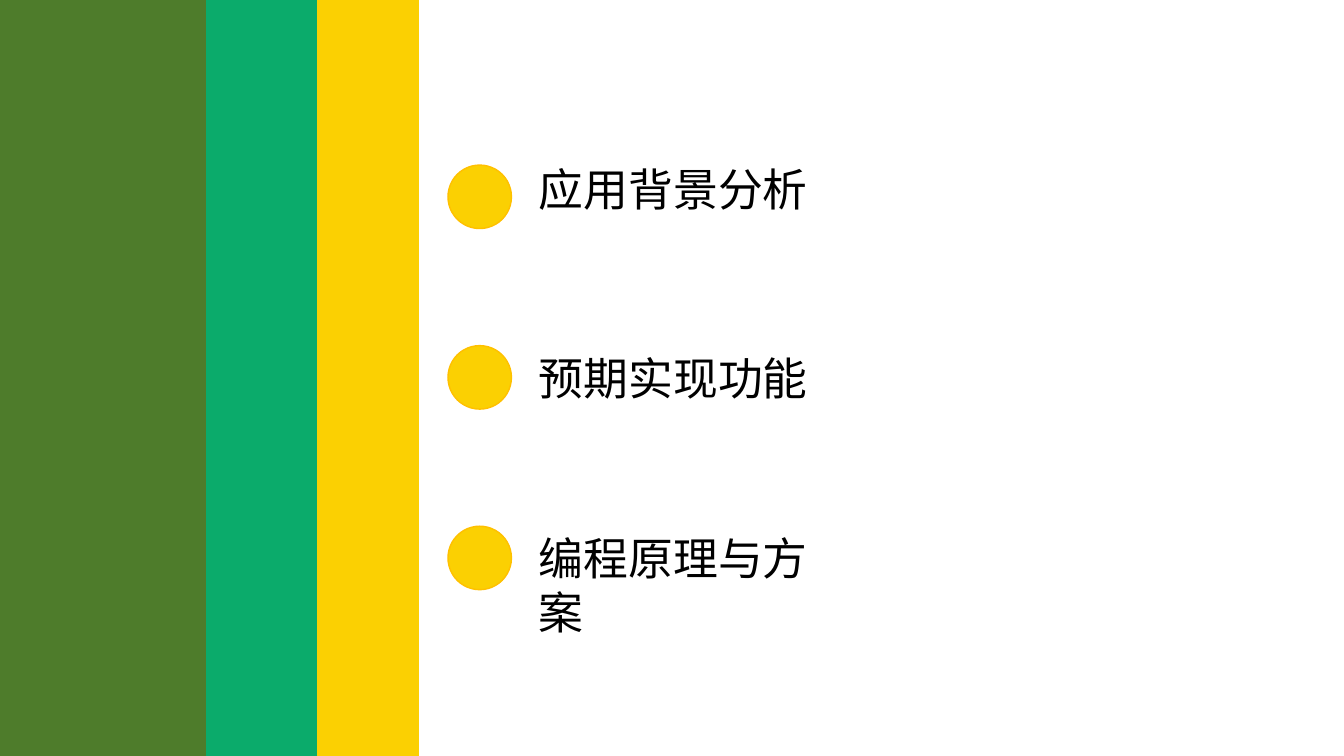
import pptx
import pptx.util
import pptx.dml.color
import pptx.enum.shapes
import pptx.enum.text
import pptx.oxml.ns
import lxml.etree

Cm = pptx.util.Cm
Pt = pptx.util.Pt
SHAPE = pptx.enum.shapes.MSO_SHAPE

COLORS = {
    "olive": "4E7C2B",
    "green": "0BAB6B",
    "yellow": "FBD002",
    "amber": "FFC000",
    "text": "000000",
}
FONT = "Noto Sans CJK JP"
SLIDE_W, SLIDE_H = 33.87, 19.05

# Colour, centre x, centre y, length and thickness, from back to front
STRIPES = [
    ("yellow", 8.37, 10.64, 30.91, 4.37),
    ("green", 5.69, 6.11, 31.19, 4.55),
    ("olive", 1.83, 6.08, 31.14, 6.68),
]

# Wording, label width and label offset from the top of its dot
TOPICS = [
    ("应用背景分析", 7.3, -0.2),
    ("预期实现功能", 7.3, 0),
    ("编程原理与方案", 8.38, 0),
]


def rgb(name):
    return pptx.dml.color.RGBColor.from_string(COLORS[name])


def add_filled(slide, kind, x, y, w, h, fill, line):
    sp = slide.shapes.add_shape(kind, Cm(x), Cm(y), Cm(w), Cm(h))
    sp.shadow.inherit = False
    sp.fill.solid()
    sp.fill.fore_color.rgb = rgb(fill)
    sp.line.color.rgb = rgb(line)
    sp.line.width = Pt(1)
    return sp


def add_label(slide, x, y, w, h, text):
    sp = slide.shapes.add_textbox(Cm(x), Cm(y), Cm(w), Cm(h))
    tf = sp.text_frame
    tf.word_wrap = True
    tf.auto_size = pptx.enum.text.MSO_AUTO_SIZE.SHAPE_TO_FIT_TEXT
    p = tf.paragraphs[0]
    p.text = text
    p.font.size = Pt(32)
    p.font.color.rgb = rgb("text")
    p.font.name = FONT
    # East Asian typeface
    props = p._p.pPr.find(pptx.oxml.ns.qn("a:defRPr"))
    ea = lxml.etree.SubElement(props, pptx.oxml.ns.qn("a:ea"))
    ea.set("typeface", FONT)


def add_stripes(slide, x, y):
    # Bars turned upright, each partly covering the one behind it
    for color, cx, cy, length, thick in STRIPES:
        sp = add_filled(slide, SHAPE.RECTANGLE, x + cx - length / 2,
                        y + cy - thick / 2, length, thick, color, color)
        sp.rotation = 270


def add_topics(slide, x, y, pitch):
    dot = 1.6
    for i, (text, w, dy) in enumerate(TOPICS):
        top = y + i * pitch
        add_filled(slide, SHAPE.OVAL, x, top, dot, dot, "yellow", "amber")
        add_label(slide, x + 2.04, top + dy, w, 1.62, text)


def main():
    prs = pptx.Presentation()
    prs.slide_width, prs.slide_height = Cm(SLIDE_W), Cm(SLIDE_H)
    # Blank layout: the slide has no title
    slide = prs.slides.add_slide(prs.slide_layouts[6])
    add_stripes(slide, 0, 0)
    add_topics(slide, 11.29, 4.16, 4.55)
    prs.save("out.pptx")


if __name__ == "__main__":
    main()
